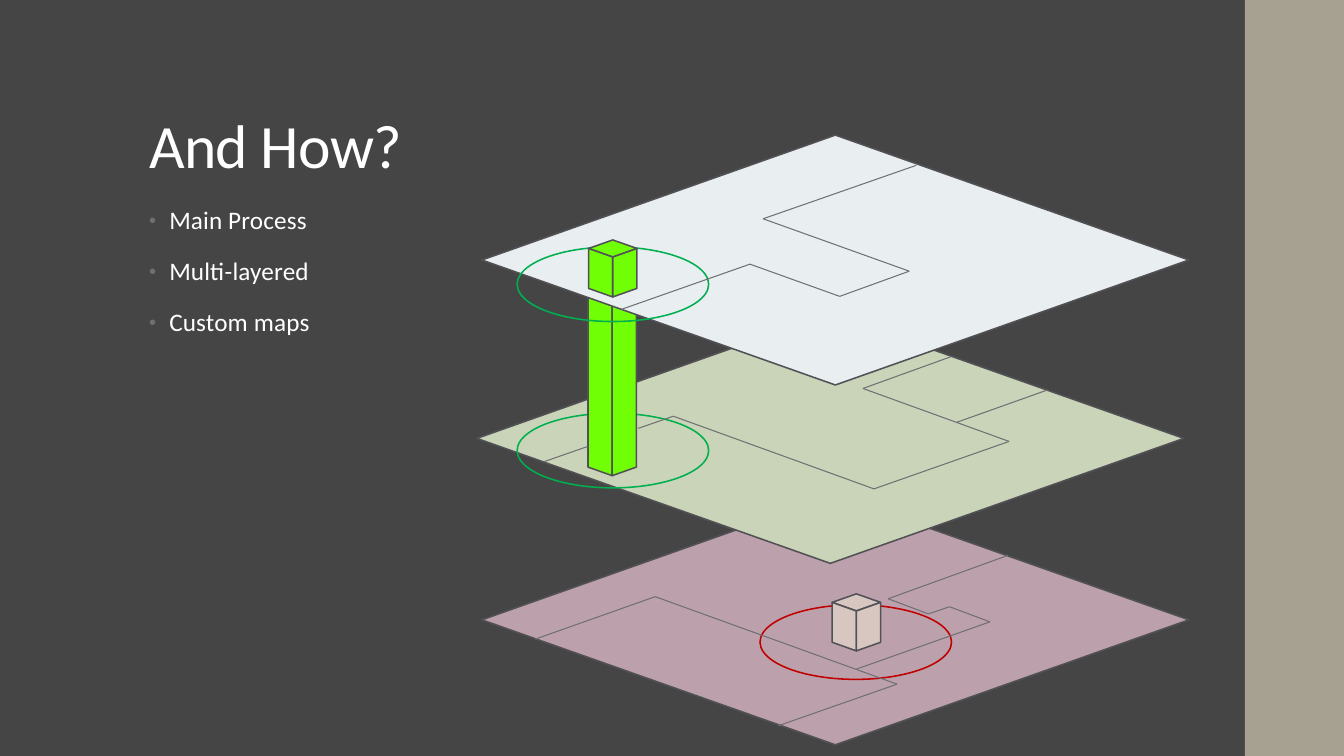
from lxml import etree
from pptx import Presentation
from pptx.dml.color import RGBColor
from pptx.enum.shapes import MSO_CONNECTOR, MSO_SHAPE
from pptx.enum.text import MSO_ANCHOR, PP_ALIGN
from pptx.oxml.ns import qn
from pptx.util import Pt

RECT, OVAL = MSO_SHAPE.RECTANGLE, MSO_SHAPE.OVAL
DIAMOND, SLANT = MSO_SHAPE.DIAMOND, MSO_SHAPE.PARALLELOGRAM
LINE = MSO_CONNECTOR.STRAIGHT
TOP, BOTTOM, LEFT = MSO_ANCHOR.TOP, MSO_ANCHOR.BOTTOM, PP_ALIGN.LEFT

DARK = RGBColor(0x45, 0x45, 0x45)
SAND = RGBColor(0xA7, 0xA1, 0x92)
WHITE = RGBColor(0xFF, 0xFF, 0xFF)
EDGE = RGBColor(0x52, 0x52, 0x56)
GRAY = RGBColor(0x6F, 0x6F, 0x74)
PINK = RGBColor(0xBC, 0xA0, 0xAB)
SAGE = RGBColor(0xCA, 0xD4, 0xB8)
ICE = RGBColor(0xE9, 0xEE, 0xF1)
RED = RGBColor(0xC0, 0x00, 0x00)
GREEN = RGBColor(0x00, 0xB0, 0x50)
LIME = RGBColor(0x70, 0xFF, 0x05)
BEIGE = RGBColor(0xD7, 0xC7, 0xC0)

FONT = "Calibri"
PLATE = (505, 178.5)
RING = (136.8, 53.3)
FACE = 17.3
ROOF = 12.2
CUBE = 34.6
TOWER = 129.6


def points(*nums):
    return [Pt(n) for n in nums]


def add_shape(shapes, kind, box, fill=None, line=None):
    shape = shapes.add_shape(kind, *points(*box))
    shape.shadow.inherit = False
    if fill is None:
        shape.fill.background()
    else:
        shape.fill.solid()
        shape.fill.fore_color.rgb = fill
    if line is None:
        shape.line.fill.background()
    else:
        shape.line.color.rgb = line
        shape.line.width = Pt(1.1)
    return shape


def add_bullet(para):
    props = para._p.get_or_add_pPr()
    props.set("marL", str(Pt(14.4)))
    props.set("indent", str(-Pt(14.4)))
    color = etree.SubElement(props, qn("a:buClr"))
    etree.SubElement(color, qn("a:srgbClr"), val=str(GRAY))
    etree.SubElement(props, qn("a:buSzPct"), val="80000")
    etree.SubElement(props, qn("a:buFont"), typeface="Arial")
    etree.SubElement(props, qn("a:buChar"), char="•")


def set_text(shape, lines, size, anchor=TOP, pitch=1, before=0, after=0,
             track=0, bullet=False):
    frame = shape.text_frame
    frame.word_wrap = True
    frame.vertical_anchor = anchor
    for i, line in enumerate(lines):
        para = frame.add_paragraph() if i else frame.paragraphs[0]
        para.alignment = LEFT
        para.line_spacing = pitch
        para.space_before, para.space_after = Pt(before), Pt(after)
        if bullet:
            add_bullet(para)
        run = para.add_run()
        run.text = line
        run.font.name, run.font.size = FONT, Pt(size)
        run.font.color.rgb = WHITE
        run._r.get_or_add_rPr().set("spc", str(int(track * 100)))


def add_path(shapes, x, y, path):
    for (x1, y1), (x2, y2) in zip(path, path[1:]):
        ends = points(x + x1, y + y1, x + x2, y + y2)
        line = shapes.add_connector(LINE, *ends)
        line.line.color.rgb = GRAY
        line.line.width = Pt(0.75)
        etree.SubElement(line._element.spPr, qn("a:effectLst"))


def add_block(shapes, x, y, high, fill, roof):
    if roof:
        add_shape(shapes, DIAMOND, (x, y, 2 * FACE, ROOF), fill, EDGE)
        y += ROOF / 2
    shift = (high - FACE) / 2
    for i, turn in enumerate((90, 270)):
        box = (x + i * FACE - shift, y + shift, high, FACE)
        face = add_shape(shapes, SLANT, box, fill, EDGE)
        face.adjustments[0] = 0.354
        face.rotation = turn
    face._element.spPr.xfrm.set("flipH", "1")


def add_layer(slide, x, y, fill, ring, tint, block, high, paint, roof, paths):
    shapes = slide.shapes.add_group_shape().shapes
    add_shape(shapes, DIAMOND, (x, y, *PLATE), fill, EDGE)
    add_shape(shapes, OVAL, (x + ring[0], y + ring[1], *RING), line=tint)
    add_block(shapes, x + block[0], y + block[1], high, paint, roof)
    for path in paths:
        add_path(shapes, x, y, path)


def add_copy(slide, x, y, wide):
    title = slide.shapes.title
    title.left, title.top, title.width, title.height = points(x, y, wide, 104.4)
    set_text(title, ["And How?"], 44, anchor=BOTTOM, pitch=0.9, track=-0.5)
    body = slide.shapes.add_textbox(*points(x, y + 115.2, 240, 342.7))
    set_text(body, ["Main Process", "Multi-layered", "Custom maps"], 18,
             pitch=0.95, before=14, after=2, track=0.1, bullet=True)


PINK_PATHS = [
    [(38.2, 103), (123.8, 72.7), (296.6, 135.2), (211.7, 164.9)],
    [(267.1, 124.6), (362.9, 90.7), (334.1, 79.9), (319, 85),
     (290.2, 74.2), (375.8, 43.2)],
]
SAGE_PATHS = [
    [(48.2, 105.8), (79.2, 95)],
    [(115.2, 82.1), (140.4, 73.4), (283.7, 125.3), (380.2, 91.4),
     (275.8, 53.6), (338.4, 31)],
    [(342.7, 77.8), (407.5, 54.7)],
]
ICE_PATHS = [
    [(99.4, 124.6), (191.5, 92.2), (255.6, 115.2), (305.3, 97.2),
     (200.9, 59.8), (310.3, 21.6)],
]

deck = Presentation()
deck.slide_width, deck.slide_height = points(960, 540)
slide = deck.slides.add_slide(deck.slide_layouts[5])
slide.background.fill.solid()
slide.background.fill.fore_color.rgb = DARK

add_shape(slide.shapes, RECT, (889.2, 0, 70.8, 540), SAND)
add_copy(slide, 99.4, 28.8, 763.2)
add_layer(slide, 344.2, 353.5, PINK, (198.7, 78.5), RED,
          (250.2, 70.7), CUBE, BEIGE, True, PINK_PATHS)
add_layer(slide, 340.6, 223.9, SAGE, (28.8, 71.3), GREEN,
          (79.4, -13.7), TOWER, LIME, False, SAGE_PATHS)
add_layer(slide, 344.2, 96.5, ICE, (25.2, 79.9), GREEN,
          (76.2, 74.9), CUBE, LIME, True, ICE_PATHS)

deck.save("out.pptx")
